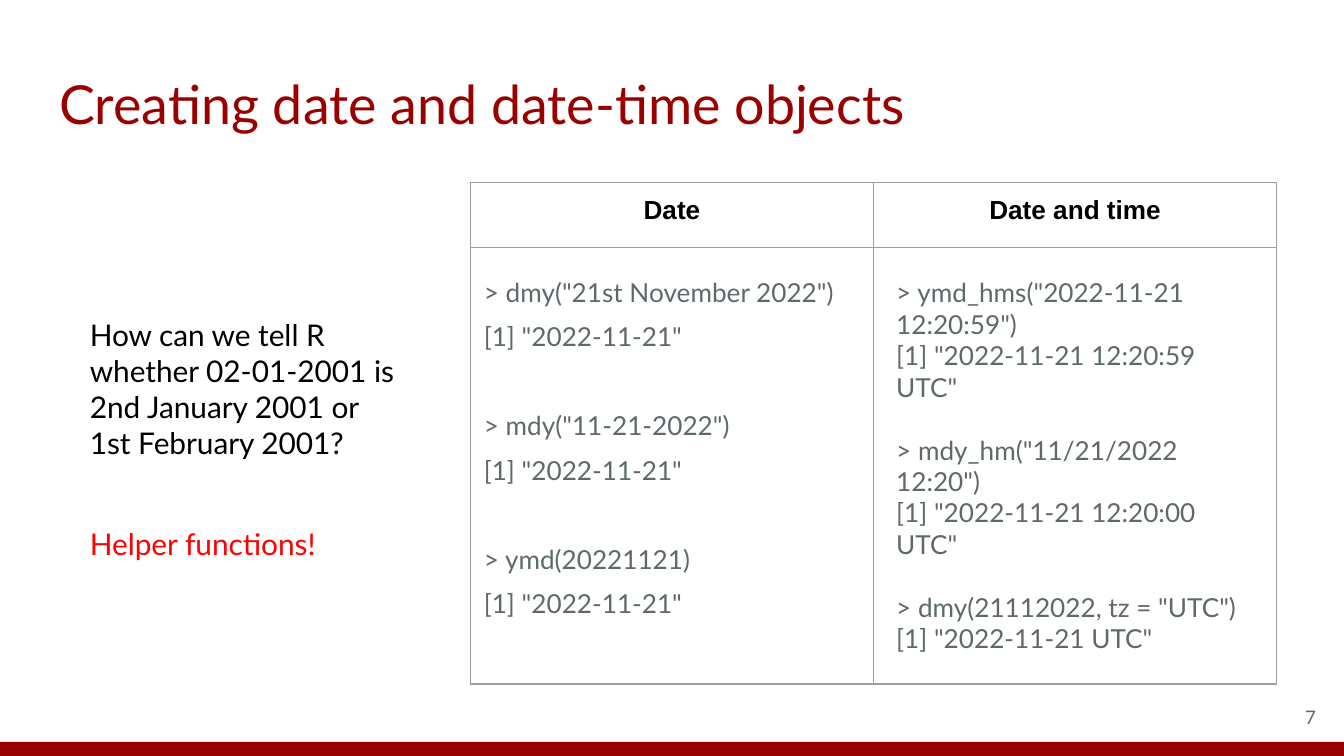
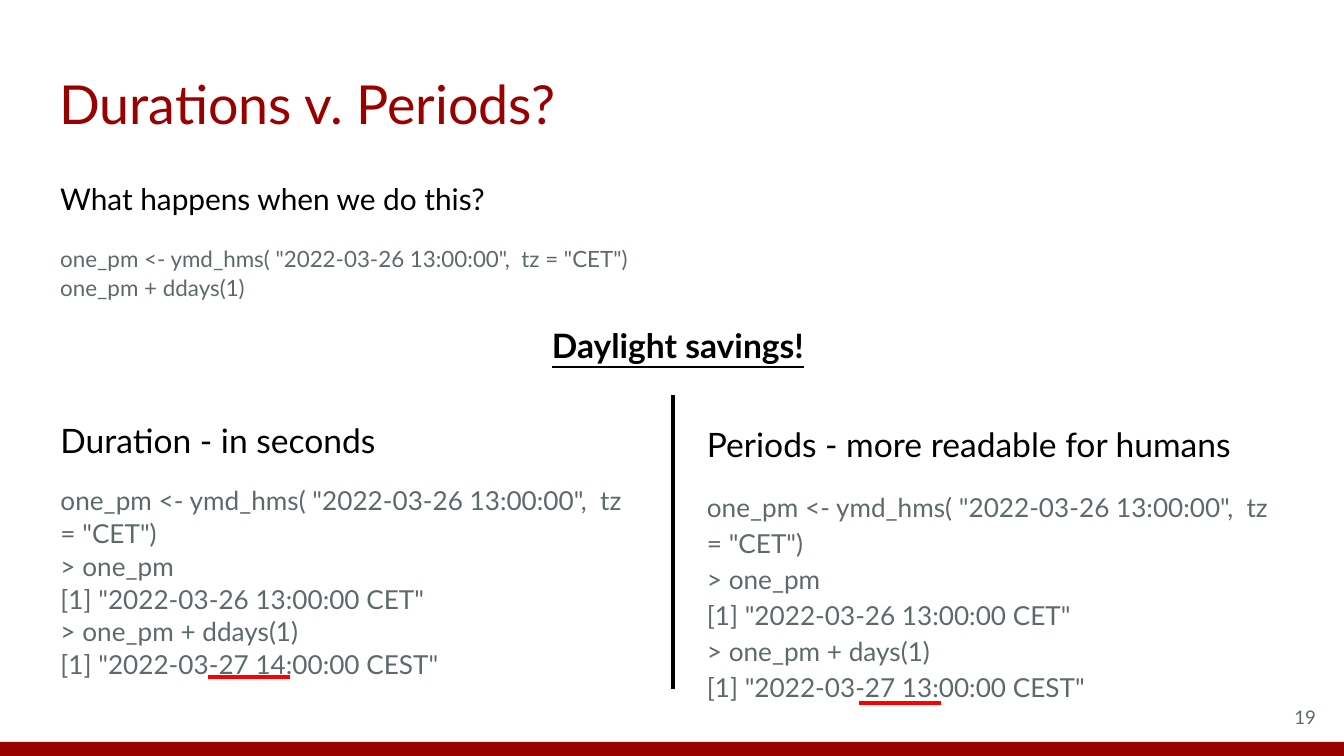
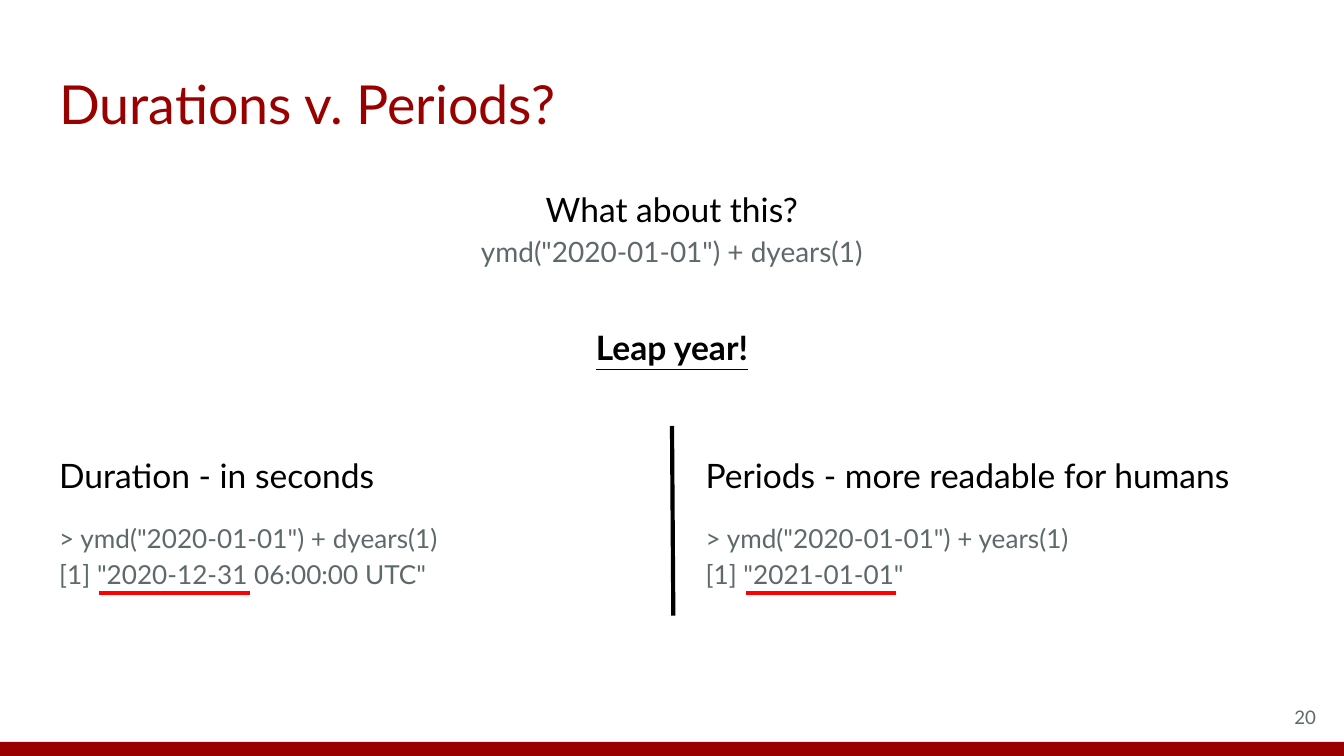
from lxml import etree
from pptx import Presentation
from pptx import util as u
from pptx.dml.color import RGBColor
from pptx.enum import shapes, text
from pptx.oxml import ns

CRIMSON, INK, SLATE, RED, GRID = "990000", "000000", "5E696C", "FF0000", "9E9E9E"
LEFT, CENTER, RIGHT = text.PP_ALIGN.LEFT, text.PP_ALIGN.CENTER, text.PP_ALIGN.RIGHT
TOP, MIDDLE = text.MSO_ANCHOR.TOP, text.MSO_ANCHOR.MIDDLE


def write(shape, box, lines, align=LEFT, spacing=1.0, anchor=TOP, strong=False):
    shape.left, shape.top, shape.width, shape.height = map(u.Inches, box)
    frame = shape.text_frame
    frame.word_wrap = True
    frame.auto_size = text.MSO_AUTO_SIZE.NONE
    frame.vertical_anchor = anchor
    frame.margin_left = frame.margin_right = u.Inches(0.1)
    frame.margin_top = frame.margin_bottom = u.Inches(0.1)
    for number, (words, size, color, gap) in enumerate(lines):
        paragraph = frame.add_paragraph() if number else frame.paragraphs[0]
        paragraph.alignment = align
        paragraph.line_spacing = spacing
        paragraph.space_before = u.Pt(gap)
        props = paragraph._p.get_or_add_pPr()
        props.set("marL", "0")
        props.set("indent", "0")
        etree.SubElement(props, ns.qn("a:buNone"))
        run = paragraph.add_run()
        run.text = words
        run.font.name = "Lato"
        run.font.size = u.Pt(size)
        run.font.color.rgb = RGBColor.from_string(color)
        run.font.bold = run.font.underline = strong


def rule(slide, start, end, color):
    line = slide.shapes.add_connector(
        shapes.MSO_CONNECTOR.STRAIGHT, *map(u.Inches, start + end))
    line.line.color.rgb = RGBColor.from_string(color)
    line.line.width = u.Pt(2.25)
    etree.SubElement(line._element.spPr, ns.qn("a:effectLst"))


prs = Presentation()
prs.slide_width = u.Inches(10)
prs.slide_height = prs.slide_width * 9 // 16

deck = []
for title, page, layout in [
    ("Creating date and date-time objects", "7", 1),
    ("Durations v. Periods?", "19", 3),
    ("Durations v. Periods?", "20", 3),
]:
    slide = prs.slides.add_slide(prs.slide_layouts[layout])
    band = slide.shapes.add_shape(
        shapes.MSO_SHAPE.RECTANGLE, *map(u.Inches, (0, 5.52, 10, 0.11)))
    band.shadow.inherit = False
    band.fill.solid()
    band.fill.fore_color.rgb = RGBColor.from_string(CRIMSON)
    band.line.fill.background()
    write(slide.shapes.title, (0.34, 0.43, 9.32, 0.68), [(title, 28.8, CRIMSON, 0)])
    write(slide.shapes.add_textbox(0, 0, 0, 0), (9.29, 5.12, 0.6, 0.43),
          [(page, 10, SLATE, 0)], align=RIGHT, anchor=MIDDLE)
    deck.append(slide)
creating, daylight, leap = deck

parsers = creating.shapes.add_table(2, 2, *map(u.Inches, (3.5, 1.36, 6, 3.73))).table
parsers.first_row = parsers.horz_banding = False
parsers.rows[0].height, parsers.rows[1].height = u.Inches(0.48), u.Inches(3.25)
for cell in parsers.iter_cells():
    cell.margin_left = cell.margin_right = u.Inches(0.1)
    cell.margin_top = cell.margin_bottom = u.Inches(0.1)
    cell.fill.background()
    for position, side in enumerate(("a:lnL", "a:lnR", "a:lnT", "a:lnB")):
        border = etree.Element(ns.qn(side), w=str(u.Pt(0.75)))
        paint = etree.SubElement(border, ns.qn("a:solidFill"))
        etree.SubElement(paint, ns.qn("a:srgbClr"), val=GRID)
        cell._tc.tcPr.insert(position, border)
for column, heading in enumerate(("Date", "Date and time")):
    paragraph = parsers.cell(0, column).text_frame.paragraphs[0]
    paragraph.alignment = CENTER
    run = paragraph.add_run()
    run.text = heading
    run.font.name = "Arial"
    run.font.size = u.Pt(14)
    run.font.bold = True
    run.font.color.rgb = RGBColor.from_string(INK)

dates = [
    ('> dmy("21st November 2022")', 0), ('[1] "2022-11-21"', 12),
    ('> mdy("11-21-2022")', 36), ('[1] "2022-11-21"', 12),
    ("> ymd(20221121)", 36), ('[1] "2022-11-21"', 12),
]
date_times = [
    ('> ymd_hms("2022-11-21 12:20:59")', 0), ('[1] "2022-11-21 12:20:59 UTC"', 0),
    ('> mdy_hm("11/21/2022 12:20")', 17), ('[1] "2022-11-21 12:20:00 UTC"', 0),
    ('> dmy(21112022, tz = "UTC")', 17), ('[1] "2022-11-21 UTC"', 0),
]
write(creating.placeholders[1], (3.5, 2.02, 2.87, 2.86),
      [(code, 14, SLATE, gap) for code, gap in dates], spacing=0.7)
write(creating.shapes.add_textbox(0, 0, 0, 0), (6.57, 1.96, 2.87, 3.5),
      [(code, 14, SLATE, gap) for code, gap in date_times])
write(creating.shapes.add_textbox(0, 0, 0, 0), (0.57, 2.26, 2.54, 1.55),
      [("How can we tell R whether 02-01-2001 is 2nd January 2001 or 1st February 2001?",
        16, INK, 0)])
write(creating.shapes.add_textbox(0, 0, 0, 0), (0.57, 3.81, 2.54, 0.47),
      [("Helper functions!", 16, RED, 0)])

one_pm = 'one_pm <- ymd_hms( "2022-03-26 13:00:00",  tz = "CET")'
one_pm_output = [one_pm, "> one_pm", '[1] "2022-03-26 13:00:00 CET"']
write(daylight.shapes.add_textbox(0, 0, 0, 0), (0.35, 1.23, 5.96, 1.18),
      [("What happens when we do this?", 16, INK, 0), (one_pm, 12, SLATE, 15),
       ("one_pm + ddays(1)", 12, SLATE, 0)], spacing=1.05)
write(leap.shapes.add_textbox(0, 0, 0, 0), (2.6, 1.26, 4.8, 0.93),
      [("What about this?", 18, INK, 0), ('ymd("2020-01-01") + dyears(1)', 15, SLATE, 0)],
      align=CENTER, spacing=1.15)

for slide, reason, box in [
    (daylight, "Daylight savings!", (3.48, 2.27, 3.13, 0.49)),
    (leap, "Leap year!", (2.6, 2.29, 4.8, 0.52)),
]:
    write(slide.shapes.add_textbox(0, 0, 0, 0), box, [(reason, 18, INK, 0)],
          align=CENTER, spacing=1.15, strong=True)

DURATION, PERIODS = "Duration - in seconds", "Periods - more readable for humans"
for slide, slot, heading, box, spacing, code, mark_start, mark_width in [
    (daylight, 1, DURATION, (0.35, 3.01, 4.51, 2.18), 1.05,
     one_pm_output + ["> one_pm + ddays(1)", '[1] "2022-03-27 14:00:00 CEST"'],
     (1.55, 5.04), 0.61),
    (daylight, 2, PERIODS, (5.16, 3.01, 4.51, 2.47), 1.15,
     one_pm_output + ["> one_pm + days(1)", '[1] "2022-03-27 13:00:00 CEST"'],
     (6.39, 5.23), 0.61),
    (leap, 1, DURATION, (0.34, 3.24, 4.51, 2.18), 1.15,
     ['> ymd("2020-01-01") + dyears(1)', '[1] "2020-12-31 06:00:00 UTC"'],
     (0.74, 4.41), 1.12),
    (leap, 2, PERIODS, (5.15, 3.24, 4.51, 1.42), 1.15,
     ['> ymd("2020-01-01") + years(1)', '[1] "2021-01-01"'],
     (5.55, 4.41), 1.12),
]:
    lines = [(heading, 18, INK, 0)]
    lines += [(line, 14, SLATE, 0 if number else 12) for number, line in enumerate(code)]
    write(slide.placeholders[slot], box, lines, spacing=spacing)
    rule(slide, mark_start, (mark_start[0] + mark_width, mark_start[1]), RED)

rule(daylight, (5.01, 2.94), (5.01, 5.13), INK)
rule(leap, (5, 3.17), (5.01, 4.58), INK)

prs.save("out.pptx")
